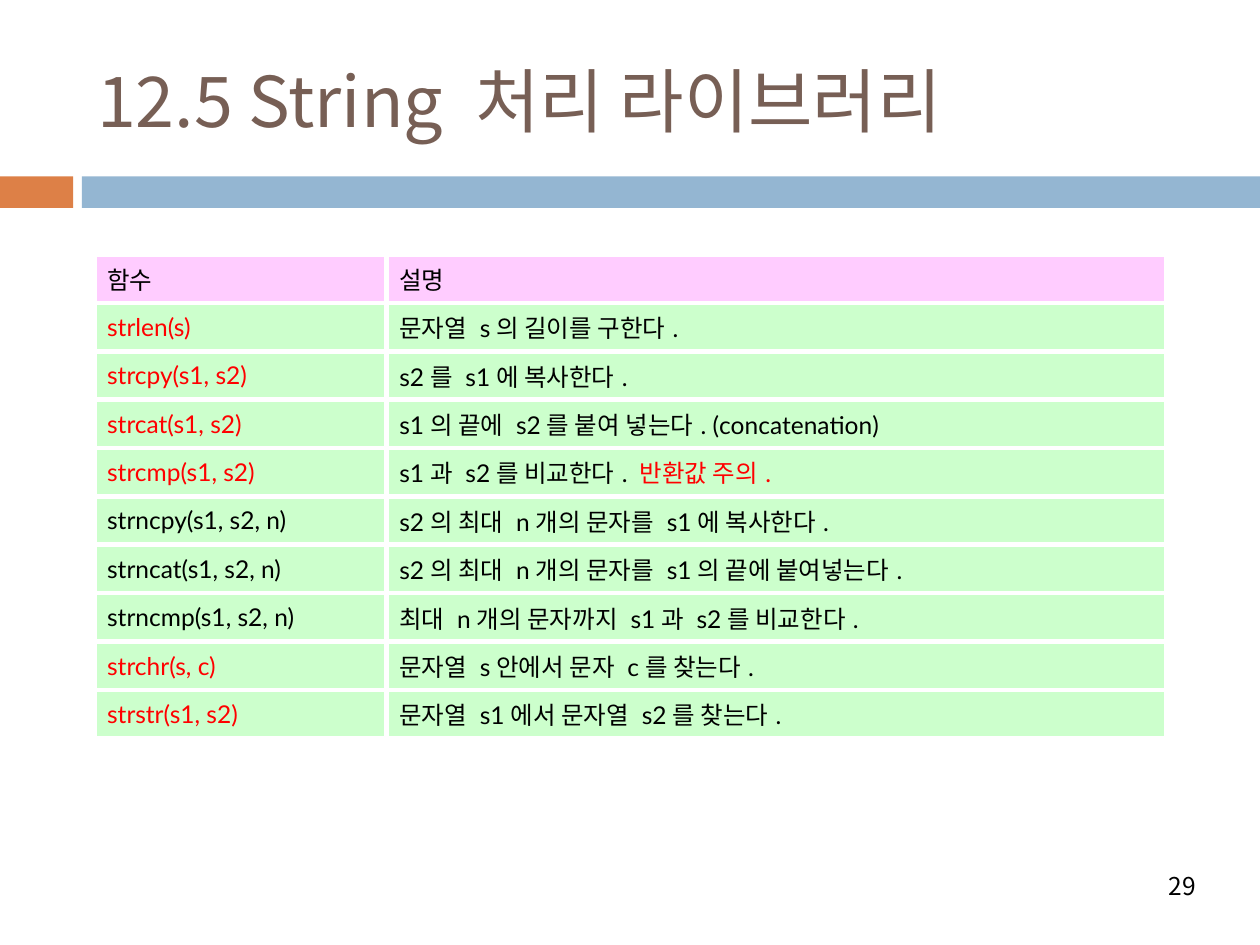
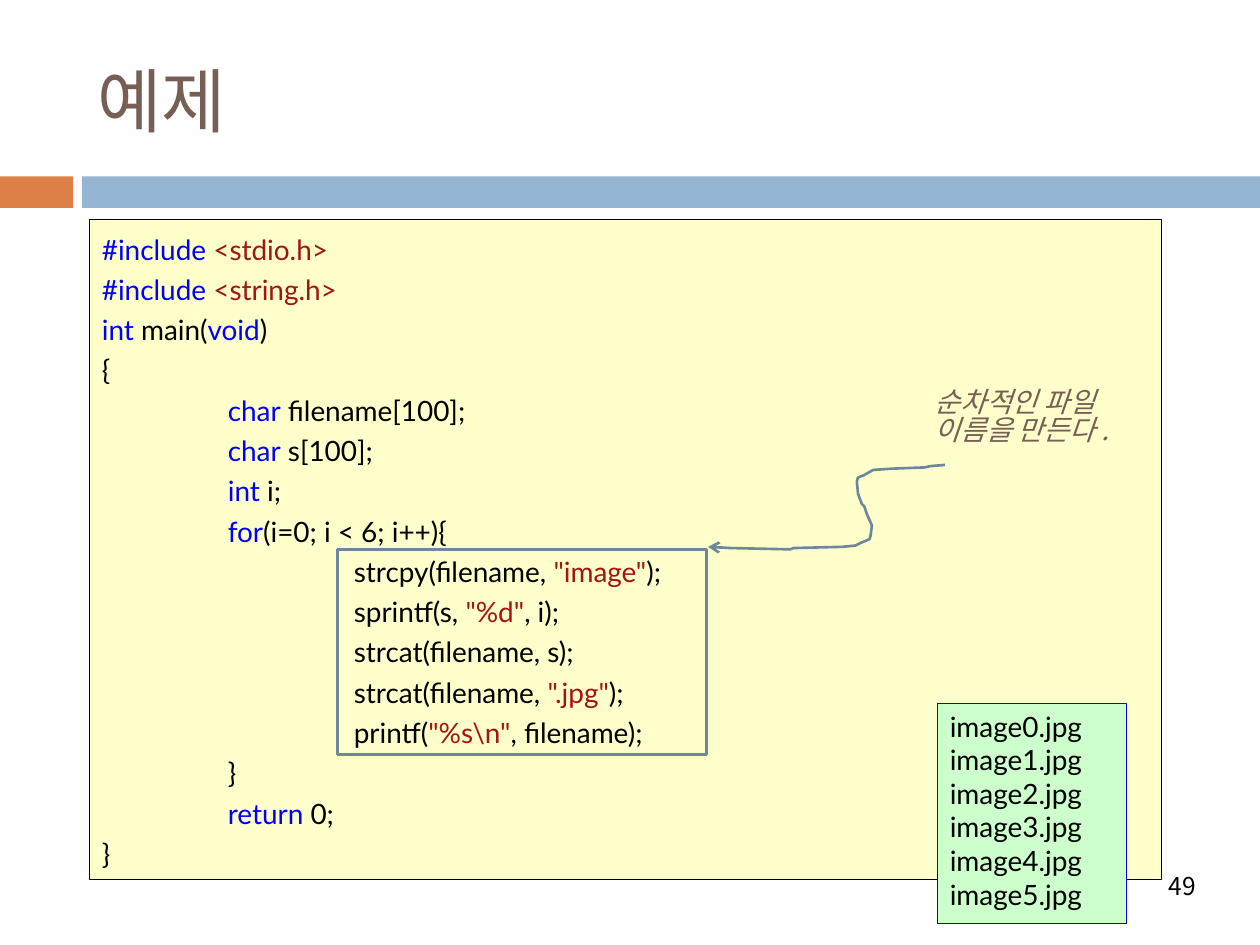
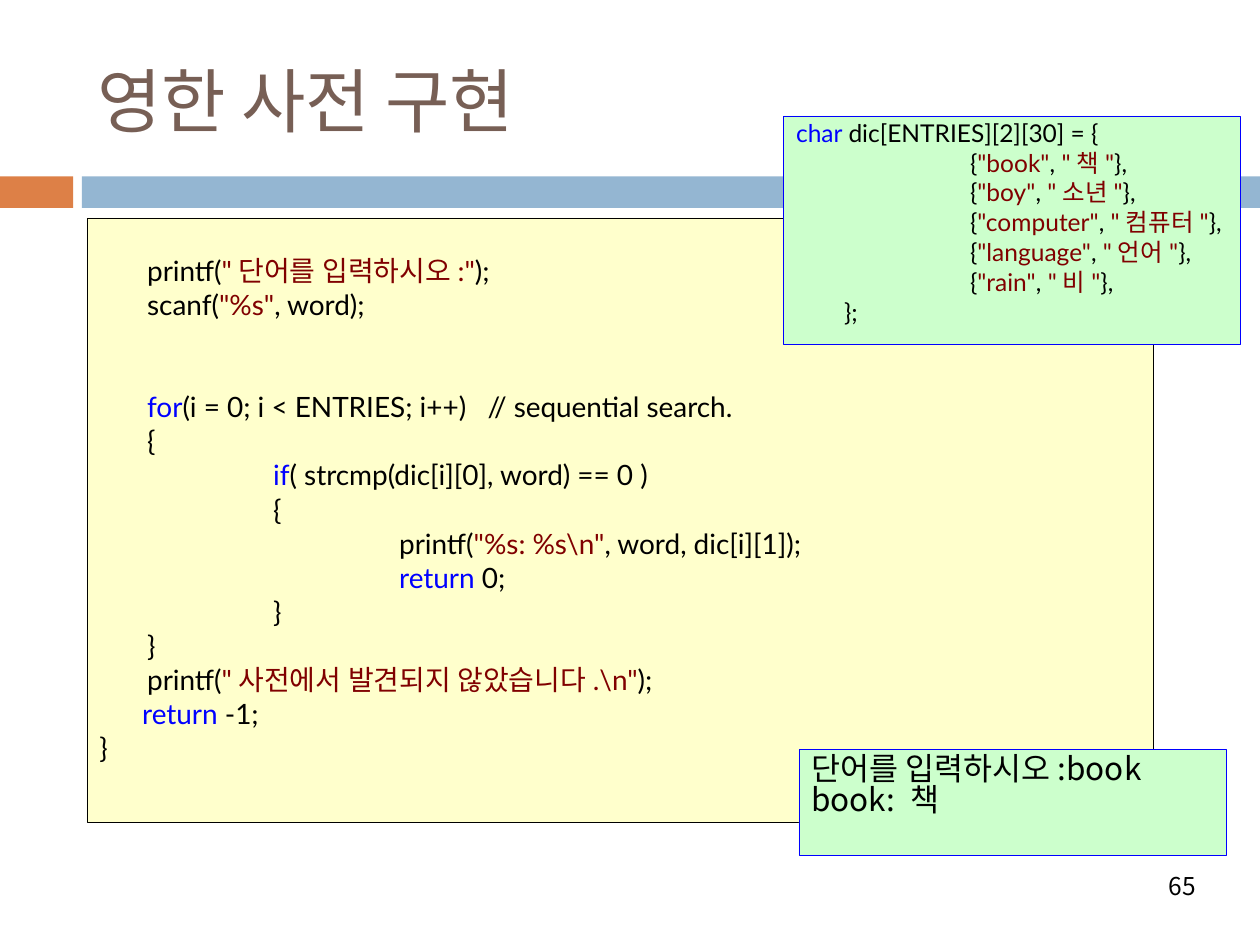
from dataclasses import dataclass
from typing import NamedTuple, Optional

from lxml.etree import SubElement
from pptx import Presentation
from pptx.dml.color import RGBColor
from pptx.enum.shapes import MSO_SHAPE as Preset
from pptx.enum.text import MSO_ANCHOR as Anchor, MSO_AUTO_SIZE as AutoSize, PP_ALIGN as Align
from pptx.oxml.ns import qn
from pptx.util import Inches, Pt

COLORS = {
    "title": "775F55", "accent": "DD8047", "band": "94B6D2", "text": "000000",
    "code": "FFFFCC", "output": "CCFFCC", "header": "FFCCFF", "border": "FFFFFF",
    "keyword": "0000FF", "literal": "A31515", "dark_literal": "800000",
    "warning": "FF0000", "marker": "6D879B",
}
LATIN, KOREAN = "Lato", "Noto Sans CJK KR"
TITLE_ONLY = 5
HANGING = 0.38


class Area(NamedTuple):
    left: float
    top: float
    width: float
    height: float

    def lengths(self) -> list:
        return [Inches(value) for value in self]


@dataclass(frozen=True)
class TextStyle:
    """In the text, `...` marks a keyword and ~...~ a literal."""
    size: float
    font: str = LATIN
    east_font: str = LATIN
    color: str = "text"
    literal: str = "literal"
    align: Align = Align.LEFT
    spacing: float = 1.0
    before: float = 0
    hanging: float = 0
    italic: bool = False


@dataclass(frozen=True)
class Panel:
    area: Area
    fill: str
    line: str
    line_width: float
    style: TextStyle
    lines: list
    top_inset: float = 0.05


# Text styles
TITLE = TextStyle(40, KOREAN, KOREAN, "title")
NUMBER = TextStyle(14, KOREAN, KOREAN, align=Align.RIGHT)
CELL = TextStyle(14, east_font=KOREAN, literal="warning", align=Align.JUSTIFY, hanging=HANGING)
PROGRAM = TextStyle(16, spacing=1.2)
SEARCH = TextStyle(16, literal="dark_literal", spacing=0.85, before=3.2, hanging=HANGING)
DICTIONARY = TextStyle(14, literal="dark_literal", spacing=0.85, before=2.8, hanging=HANGING)
FILES = TextStyle(16)
REMARK = TextStyle(16, KOREAN, KOREAN, "title", spacing=0.82, italic=True)
ANSWER = TextStyle(18, KOREAN, KOREAN, align=Align.JUSTIFY, spacing=0.82)

# Slide content
FUNCTIONS = [
    ("함수", "설명"),
    ("~strlen(s)~", "문자열 s의 길이를 구한다."),
    ("~strcpy(s1, s2)~", "s2를 s1에 복사한다."),
    ("~strcat(s1, s2)~", "s1의 끝에 s2를 붙여 넣는다. (concatenation)"),
    ("~strcmp(s1, s2)~", "s1과 s2를 비교한다. ~반환값 주의.~"),
    ("strncpy(s1, s2, n)", "s2의 최대 n개의 문자를 s1에 복사한다."),
    ("strncat(s1, s2, n)", "s2의 최대 n개의 문자를 s1의 끝에 붙여넣는다."),
    ("strncmp(s1, s2, n)", "최대 n개의 문자까지 s1과 s2를 비교한다."),
    ("~strchr(s, c)~", "문자열 s안에서 문자 c를 찾는다."),
    ("~strstr(s1, s2)~", "문자열 s1에서 문자열 s2를 찾는다."),
]
FILENAME_CODE = [
    "`#include `~<stdio.h>~",
    "`#include `~<string.h>~",
    "`int` main(`void`)",
    "{",
    "\t`char` filename[100];",
    "\t`char` s[100];",
    "\t`int `i;",
    "\t`for`(i=0; i < 6; i++){",
    '\t\tstrcpy(filename, ~"image"~);',
    '\t\tsprintf(s, ~"%d"~, i);',
    "\t\tstrcat(filename, s);",
    '\t\tstrcat(filename, ~".jpg"~);',
    '\t\tprintf(~"%s\\n"~, filename);',
    "\t}",
    "\t`return` 0;",
    "}",
]
# An empty line widens the gap before the next one
SEARCH_CODE = [
    '\tprintf(~"단어를 입력하시오:"~);',
    '\tscanf(~"%s"~, word);',
    "",
    "",
    "\t`for`(i = 0; i < ENTRIES; i++)   // sequential search.",
    "\t{",
    "\t\t`if`( strcmp(dic[i][0], word) == 0 )",
    "\t\t{",
    '\t\t\tprintf(~"%s: %s\\n"~, word, dic[i][1]);',
    "\t\t\t`return` 0;",
    "\t\t}",
    "\t}",
    '\tprintf(~"사전에서 발견되지 않았습니다.\\n"~);',
    "      `return` -1;",
    "}",
]
WORDS = [("book", "책"), ("boy", "소년"), ("computer", "컴퓨터"), ("language", "언어"), ("rain", "비")]
DICTIONARY_CODE = [
    "`char `dic[ENTRIES][2][30] = {",
    *[f'\t\t{{~"{english}"~, ~"{korean}"~}},' for english, korean in WORDS],
    "\t};",
]
ARROW_POINTS = [
    (7.5, 3.69), (7.38, 3.7), (7.34, 3.71), (7.08, 3.72), (6.93, 3.73), (6.86, 3.77),
    (6.81, 3.79), (6.8, 3.82), (6.81, 3.92), (6.84, 4), (6.86, 4.02), (6.88, 4.08),
    (6.92, 4.17), (6.91, 4.25), (6.9, 4.28), (6.83, 4.31), (6.79, 4.33), (6.69, 4.34),
    (6.3, 4.35), (6.27, 4.36), (5.8, 4.35), (5.62, 4.34),
]


def rgb(name: str) -> RGBColor:
    return RGBColor.from_string(COLORS[name])


def split_runs(text: str, style: TextStyle) -> list:
    runs = []
    for index, piece in enumerate(text.split("`")):
        if index % 2:
            runs.append((piece, "keyword"))
        else:
            runs += [(part, style.literal if position % 2 else style.color)
                     for position, part in enumerate(piece.split("~"))]
    return [run for run in runs if run[0]]


def write_paragraph(paragraph, text: str, style: TextStyle, before: float = 0) -> None:
    properties = paragraph._p.get_or_add_pPr()
    properties.set("defTabSz", str(Inches(1)))
    if style.hanging:
        properties.set("marL", str(Inches(style.hanging)))
        properties.set("indent", str(-Inches(style.hanging)))
    paragraph.alignment = style.align
    paragraph.line_spacing = style.spacing
    paragraph.space_before = Pt(before)
    font = paragraph.font
    font.name, font.size, font.italic = style.font, Pt(style.size), style.italic
    SubElement(properties.find(qn("a:defRPr")), qn("a:ea"), typeface=style.east_font)
    for part, color in split_runs(text, style):
        run = paragraph.add_run()
        run.text = part
        run.font.color.rgb = rgb(color)


def write_lines(frame, lines: list, style: TextStyle, anchor: Anchor = Anchor.TOP) -> None:
    frame.word_wrap = True
    frame.auto_size = AutoSize.NONE
    frame.vertical_anchor = anchor
    pitch = style.size * 1.2 * style.spacing + style.before
    paragraph, gap = frame.paragraphs[0], 0.0
    for index, line in enumerate(lines):
        if not line:
            gap += pitch
            continue
        if index:
            paragraph = frame.add_paragraph()
        write_paragraph(paragraph, line, style, style.before + gap if index else 0)
        gap = 0.0


def style_shape(shape, fill: Optional[str], line: Optional[str], width: float = 0) -> None:
    shape.shadow.inherit = False
    if fill:
        shape.fill.solid()
        shape.fill.fore_color.rgb = rgb(fill)
    else:
        shape.fill.background()
    if line:
        shape.line.color.rgb = rgb(line)
        shape.line.width = Pt(width)
    else:
        shape.line.fill.background()


def add_rectangle(slide, area: Area, fill: Optional[str], line: Optional[str] = None, width: float = 0):
    shape = slide.shapes.add_shape(Preset.RECTANGLE, *area.lengths())
    style_shape(shape, fill, line, width)
    return shape


def add_text(slide, area: Area, text: str, style: TextStyle, anchor: Anchor = Anchor.TOP) -> None:
    box = slide.shapes.add_textbox(*area.lengths())
    write_lines(box.text_frame, [text], style, anchor)


def add_panel(slide, panel: Panel) -> None:
    shape = add_rectangle(slide, panel.area, panel.fill, panel.line, panel.line_width)
    shape.text_frame.margin_top = Inches(panel.top_inset)
    write_lines(shape.text_frame, panel.lines, panel.style)


def start_slide(presentation, title: str):
    """Add a slide with the shared title and bands."""
    slide = presentation.slides.add_slide(presentation.slide_layouts[TITLE_ONLY])
    heading = slide.shapes.title
    heading.left, heading.top, heading.width, heading.height = Area(0.67, 0.25, 8.92, 1.08).lengths()
    write_lines(heading.text_frame, [title], TITLE, Anchor.MIDDLE)
    add_rectangle(slide, Area(0, 1.4, 0.58, 0.25), "accent")
    add_rectangle(slide, Area(0.65, 1.4, 9.35, 0.25), "band")
    return slide


def add_number(slide, number: int) -> None:
    add_text(slide, Area(6.81, 6.83, 2.78, 0.4), str(number), NUMBER, Anchor.MIDDLE)


def set_cell_borders(cell) -> None:
    properties = cell._tc.get_or_add_tcPr()
    for position, side in enumerate(("lnL", "lnR", "lnT", "lnB")):
        line = properties.makeelement(qn(f"a:{side}"), {"w": str(Pt(3))})
        fill = SubElement(line, qn("a:solidFill"))
        SubElement(fill, qn("a:srgbClr"), val=COLORS["border"])
        properties.insert(position, line)


def add_function_table(slide) -> None:
    row_height = 0.38
    area = Area(0.75, 2.02, 8.51, row_height * len(FUNCTIONS))
    table = slide.shapes.add_table(len(FUNCTIONS), 2, *area.lengths()).table
    for column, width in zip(table.columns, (2.32, 6.19)):
        column.width = Inches(width)
    for row_index, row in enumerate(FUNCTIONS):
        table.rows[row_index].height = Inches(row_height)
        for column_index, text in enumerate(row):
            cell = table.cell(row_index, column_index)
            cell.fill.solid()
            cell.fill.fore_color.rgb = rgb("output" if row_index else "header")
            cell.vertical_anchor = Anchor.MIDDLE
            write_paragraph(cell.text_frame.paragraphs[0], text, CELL)
            set_cell_borders(cell)


def add_curved_arrow(slide) -> None:
    points = [(Inches(x), Inches(y)) for x, y in ARROW_POINTS]
    builder = slide.shapes.build_freeform(*points[0])
    builder.add_line_segments(points[1:], close=False)
    arrow = builder.convert_to_shape()
    style_shape(arrow, None, "marker", 1.5)
    SubElement(arrow.line._get_or_add_ln(), qn("a:tailEnd"), type="arrow")


def build_library_slide(presentation) -> None:
    slide = start_slide(presentation, "12.5 String 처리 라이브러리")
    add_function_table(slide)
    add_number(slide, 29)


def build_filename_slide(presentation) -> None:
    slide = start_slide(presentation, "예제")
    add_panel(slide, Panel(Area(0.71, 1.74, 8.51, 5.24), "code", "text", 0.25, PROGRAM, FILENAME_CODE))
    file_names = [f"image{index}.jpg" for index in range(6)]
    add_panel(slide, Panel(Area(7.44, 5.58, 1.5, 1.75), "output", "keyword", 0.33, FILES, file_names))
    add_text(slide, Area(7.32, 3.05, 1.65, 0.64), "순차적인 파일 이름을 만든다.", REMARK)
    add_curved_arrow(slide)
    add_rectangle(slide, Area(2.68, 4.36, 2.93, 1.63), None, "marker", 1.5)
    add_number(slide, 49)


def build_dictionary_slide(presentation) -> None:
    slide = start_slide(presentation, "영한 사전 구현")
    answer = ["단어를 입력하시오:book", "book: 책"]
    panels = [
        Panel(Area(0.69, 1.73, 8.46, 4.8), "code", "text", 0.25, SEARCH, SEARCH_CODE, top_inset=0.32),
        Panel(Area(6.34, 5.95, 3.39, 0.84), "output", "keyword", 0.33, ANSWER, answer),
        Panel(Area(6.22, 0.92, 3.62, 1.81), "output", "keyword", 0.33, DICTIONARY, DICTIONARY_CODE),
    ]
    for panel in panels:
        add_panel(slide, panel)
    add_number(slide, 65)


def main() -> None:
    presentation = Presentation()
    presentation.slide_width, presentation.slide_height = Inches(10), Inches(7.5)
    build_library_slide(presentation)
    build_filename_slide(presentation)
    build_dictionary_slide(presentation)
    presentation.save("out.pptx")


if __name__ == "__main__":
    main()
